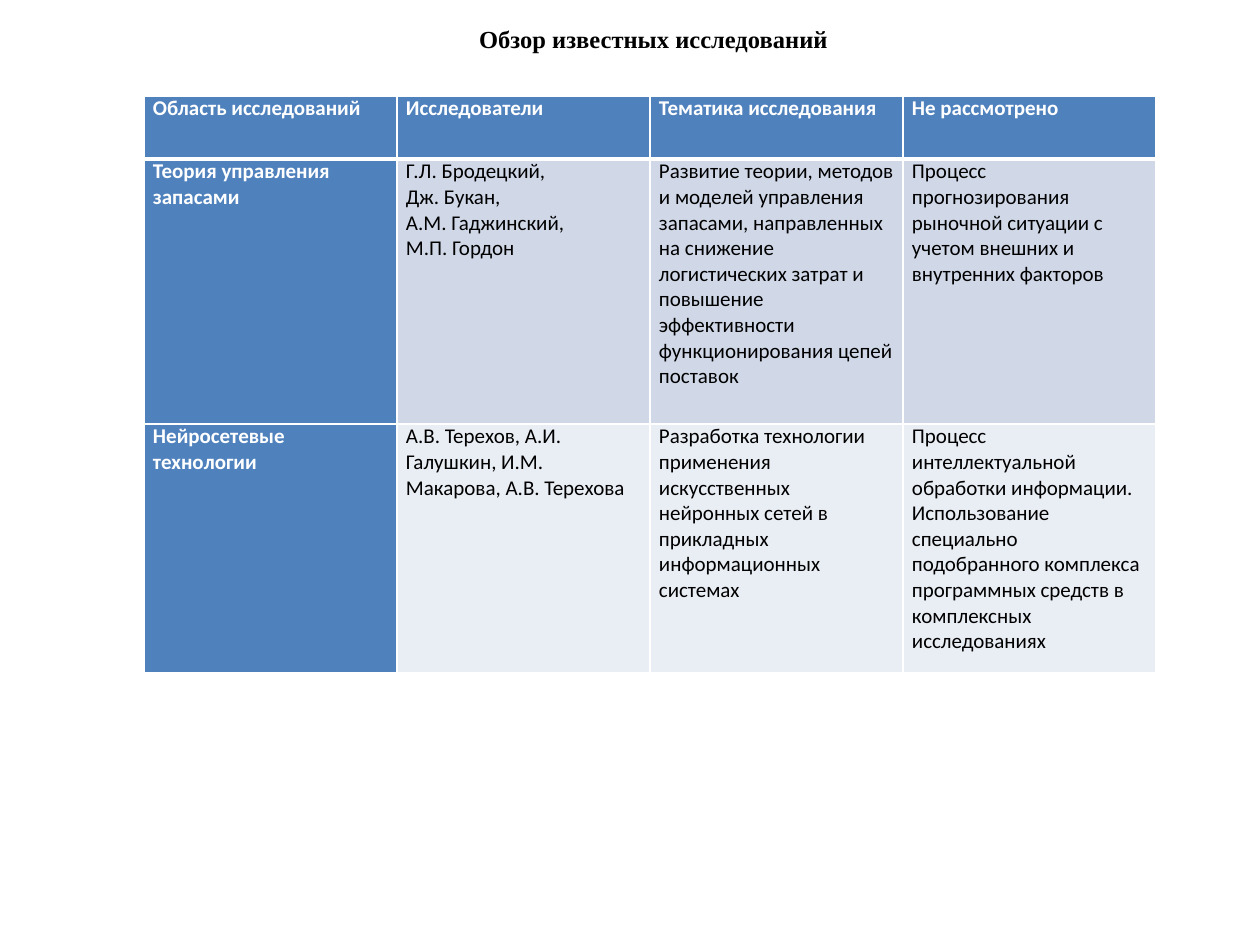
from dataclasses import dataclass

from lxml.etree import SubElement
from pptx import Presentation
from pptx.dml.color import RGBColor
from pptx.enum.text import MSO_ANCHOR, PP_ALIGN
from pptx.oxml.ns import qn
from pptx.util import Emu, Pt

EMU_PER_PX = 914400 / 126


def px(count):
    return Emu(round(count * EMU_PER_PX))


@dataclass(frozen=True)
class Theme:
    accent: str = "4F81BD"
    bands: tuple = ("D0D8E8", "E9EDF4")
    light: str = "FFFFFF"
    dark: str = "000000"
    title_font: str = "Times New Roman"
    body_font: str = "Calibri"
    title_size: int = 14
    body_size: int = 12
    rule: int = 1
    header_rule: int = 3


class SlideBuilder:
    def __init__(self, page, theme):
        self.page = page
        self.theme = theme

    def add_lines(self, frame, lines, font, color, align=PP_ALIGN.LEFT):
        for index, line in enumerate(lines):
            para = frame.paragraphs[0] if index == 0 else frame.add_paragraph()
            para.alignment = align
            span = para.add_run()
            span.text = line
            for name, value in font.items():
                setattr(span.font, name, value)
            span.font.color.rgb = RGBColor.from_string(color)

    def title(self, text, left, top, width, height):
        box = self.page.shapes.add_textbox(px(left), px(top), px(width), px(height))
        # The wider right margin sets the heading slightly left of centre
        layout = {"word_wrap": True, "vertical_anchor": MSO_ANCHOR.MIDDLE,
                  "margin_left": px(13), "margin_right": px(38)}
        for name, value in layout.items():
            setattr(box.text_frame, name, value)
        font = {"name": self.theme.title_font, "size": Pt(self.theme.title_size), "bold": True}
        self.add_lines(box.text_frame, [text], font, self.theme.dark, PP_ALIGN.CENTER)

    def borders(self, cell, **widths):
        properties = cell._tc.get_or_add_tcPr()
        for index, side in enumerate("LRTB"):
            width = widths.get(side, self.theme.rule)
            line = SubElement(properties, qn(f"a:ln{side}"), w=str(Pt(width)))
            fill = SubElement(line, qn("a:solidFill"))
            SubElement(fill, qn("a:srgbClr"), val=self.theme.light)
            properties.insert(index, line)

    def cell(self, cell, text, row, column):
        theme = self.theme
        heading = row == 0 or column == 0
        fill = theme.accent if heading else theme.bands[(row - 1) % 2]
        cell.fill.solid()
        cell.fill.fore_color.rgb = RGBColor.from_string(fill)
        margins = {"margin_left": px(9), "margin_right": px(9),
                   "margin_top": 0, "margin_bottom": 0}
        for name, value in margins.items():
            setattr(cell, name, value)
        font = {"name": theme.body_font, "size": Pt(theme.body_size), "bold": heading}
        self.add_lines(cell.text_frame, text.split("\n"), font,
                       theme.light if heading else theme.dark)
        # A thicker rule separates the header row from the body
        header_side = {0: "B", 1: "T"}.get(row)
        self.borders(cell, **({header_side: theme.header_rule} if header_side else {}))

    def table(self, rows, left, top, column_width, row_heights):
        columns = len(rows[0])
        table = self.page.shapes.add_table(
            len(rows), columns, px(left), px(top),
            px(column_width * columns), px(sum(row_heights))).table
        for column in table.columns:
            column.width = px(column_width)
        for row, (texts, height) in enumerate(zip(rows, row_heights)):
            table.rows[row].height = px(height)
            for column, text in enumerate(texts):
                self.cell(table.cell(row, column), text, row, column)


RESEARCH = [
    ["Область исследований", "Исследователи", "Тематика исследования", "Не рассмотрено"],
    ["Теория управления запасами",
     "Г.Л. Бродецкий,\nДж. Букан,\nА.М. Гаджинский,\nМ.П. Гордон",
     "Развитие теории, методов и моделей управления запасами, направленных на снижение "
     "логистических затрат и повышение эффективности функционирования цепей поставок",
     "Процесс прогнозирования рыночной ситуации с учетом внешних и внутренних факторов"],
    ["Нейросетевые технологии",
     "А.В. Терехов, А.И. Галушкин, И.М. Макарова, А.В. Терехова",
     "Разработка технологии применения искусственных нейронных сетей в прикладных "
     "информационных системах",
     "Процесс интеллектуальной обработки информации. Использование специально "
     "подобранного комплекса программных средств в комплексных исследованиях"],
]


def main():
    deck = Presentation()
    deck.slide_width, deck.slide_height = px(1260), px(945)
    page = deck.slides.add_slide(deck.slide_layouts[6])
    builder = SlideBuilder(page, Theme())

    # Research overview table
    builder.table(RESEARCH, left=144, top=96, column_width=253, row_heights=[63, 265, 249])

    # Heading
    builder.title("Обзор известных исследований", left=184, top=17, width=964, height=43)

    deck.save("out.pptx")


if __name__ == "__main__":
    main()
